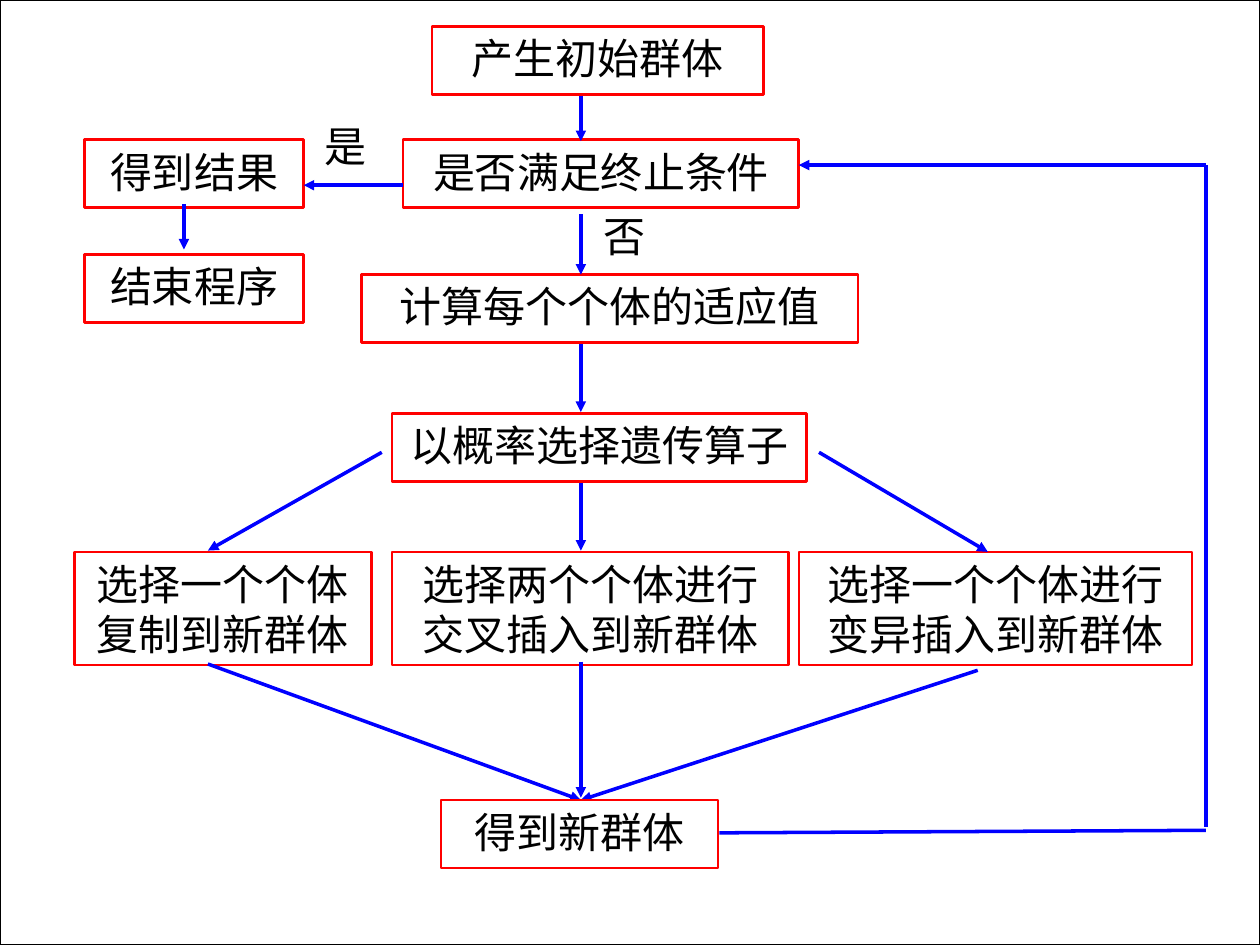
from lxml.etree import SubElement
from pptx import Presentation
from pptx.dml.color import RGBColor
from pptx.enum.shapes import MSO_CONNECTOR, MSO_SHAPE
from pptx.enum.text import MSO_ANCHOR, PP_ALIGN
from pptx.oxml.ns import qn
from pptx.util import Inches, Pt

WHITE = RGBColor(0xFF, 0xFF, 0xFF)
BLACK = RGBColor(0, 0, 0)
RED = RGBColor(0xFF, 0, 0)
BLUE = RGBColor(0, 0, 0xFF)

FONT = "Times New Roman"
ONE_LINE, TWO_LINES = 0.54, 0.9
AXIS = 4.61
RESULT_LEFT, RESULT_WIDTH = 0.67, 1.74
OPERATOR_TOP = 4.38
COPY_X = 1.65
MERGE = (AXIS, 6.35)
LOOP_X, LOOP_Y = 9.57, 1.31

STEPS = [
    ("产生初始群体", 3.43, 0.21, 2.63),
    ("是否满足终止条件", 3.2, 1.11, 3.14),
    ("得到结果", RESULT_LEFT, 1.11, RESULT_WIDTH),
    ("结束程序", RESULT_LEFT, 2.02, RESULT_WIDTH),
    ("计算每个个体的适应值", 2.87, 2.18, 3.94),
    ("以概率选择遗传算子", 3.11, 3.28, 3.29),
]
OPERATORS = [
    ("选择一个个体复制到新群体", 0.59, 2.36),
    ("选择两个个体进行\v交叉插入到新群体", 3.11, 3.15),
    ("选择一个个体进行变异插入到新群体", 6.34, 3.12),
]
NEW_GROUP = ("得到新群体", 3.5, 6.35, 2.2)
ANSWERS = [("是", 2.48, 0.91, 0.59), ("否", 4.69, 1.62, 0.62)]

DOWN_ARROWS = [
    (AXIS, 0.76, 1.12),
    (1.46, 1.62, 1.98),
    (AXIS, 1.7, 2.18),
    (AXIS, 2.73, 3.27),
    (AXIS, 3.83, 4.37),
    (AXIS, 5.25, 6.33),
]
OTHER_ARROWS = [
    ((3.2, 1.47), (2.41, 1.47)),
    ((3.03, 3.59), (COPY_X, 4.37)),
    ((6.5, 3.59), (7.84, 4.38)),
    ((COPY_X, 5.27), MERGE),
    ((7.76, 5.32), MERGE),
    ((LOOP_X, LOOP_Y), (6.34, LOOP_Y)),
]
LOOP_LINES = [
    ((5.71, 6.61), (LOOP_X, 6.59)),
    ((LOOP_X, 6.56), (LOOP_X, LOOP_Y)),
]

prs = Presentation()
prs.slide_width, prs.slide_height = Inches(10), Inches(7.5)
slide = prs.slides.add_slide(prs.slide_layouts[6])


def write(shape, text, align):
    frame = shape.text_frame
    frame.word_wrap = True
    frame.vertical_anchor = MSO_ANCHOR.TOP
    frame.text = text
    paragraph = frame.paragraphs[0]
    paragraph.alignment = align
    for run in paragraph.runs:
        run.font.name = FONT
        run.font.size = Pt(24)
        run.font.color.rgb = BLACK


def add_rect(left, top, width, height, color, weight):
    rect = slide.shapes.add_shape(
        MSO_SHAPE.RECTANGLE, *map(Inches, (left, top, width, height)))
    rect.shadow.inherit = False
    rect.fill.solid()
    rect.fill.fore_color.rgb = WHITE
    rect.line.color.rgb = color
    rect.line.width = Pt(weight)
    return rect


def add_step(text, left, top, width, height=ONE_LINE):
    write(add_rect(left, top, width, height, RED, 1.5), text, PP_ALIGN.CENTER)


def add_line(start, end, arrow=True):
    line = slide.shapes.add_connector(
        MSO_CONNECTOR.STRAIGHT, *map(Inches, start + end))
    line.line.color.rgb = BLUE
    line.line.width = Pt(2)
    if arrow:
        SubElement(line.line._get_or_add_ln(), qn("a:tailEnd"), type="triangle")
    SubElement(line._element.spPr, qn("a:effectLst"))


add_rect(0, 0, 10, 7.5, BLACK, 0.75)
for step in STEPS:
    add_step(*step)
for text, left, width in OPERATORS:
    add_step(text, left, OPERATOR_TOP, width, TWO_LINES)
for text, left, top, width in ANSWERS:
    answer = slide.shapes.add_textbox(
        *map(Inches, (left, top, width, ONE_LINE)))
    write(answer, text, PP_ALIGN.JUSTIFY)
for x, top, bottom in DOWN_ARROWS:
    add_line((x, top), (x, bottom))
for start, end in OTHER_ARROWS:
    add_line(start, end)
for start, end in LOOP_LINES:
    add_line(start, end, arrow=False)
add_step(*NEW_GROUP)

prs.save("out.pptx")
